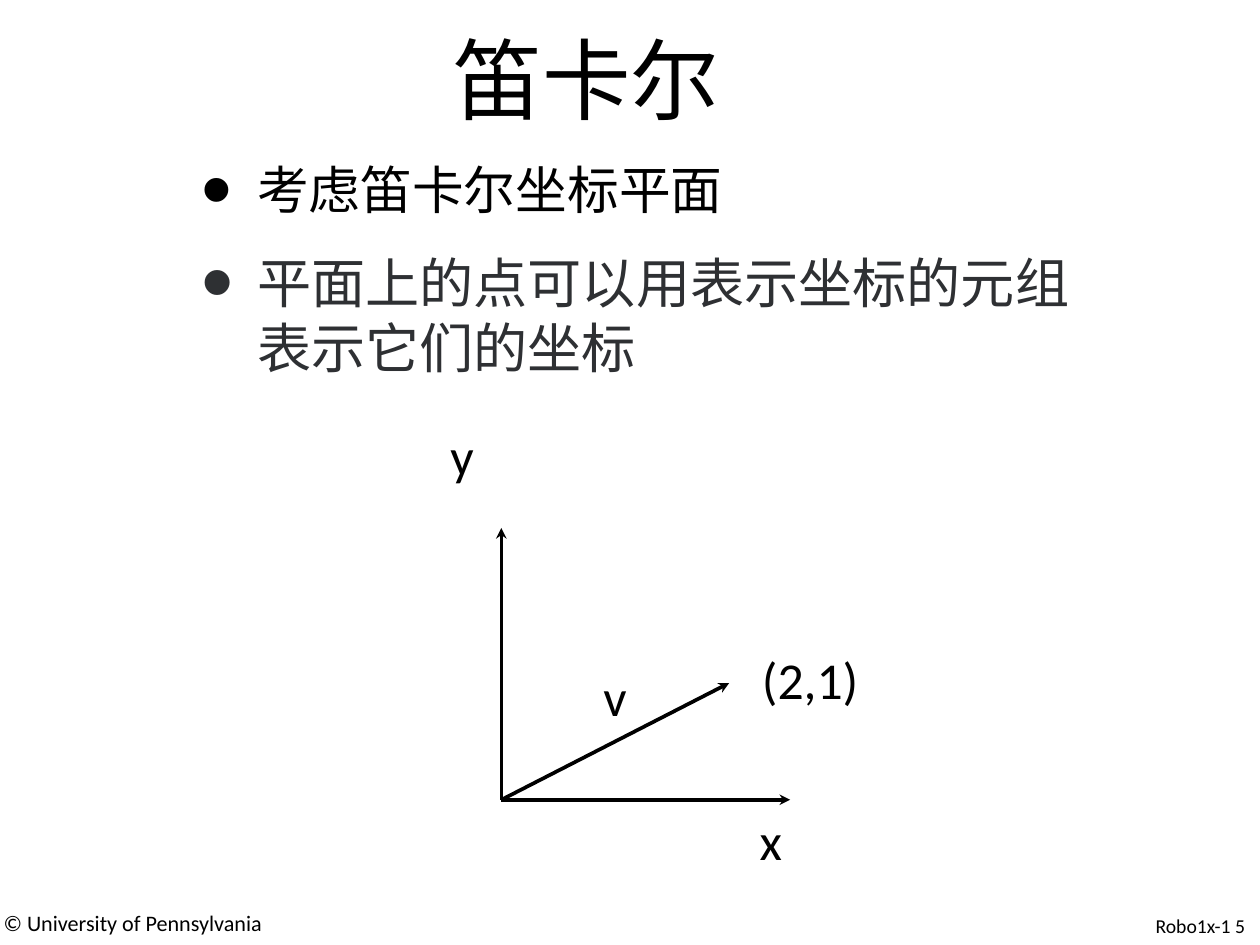
from math import hypot

from lxml import etree
from pptx import Presentation
from pptx.dml.color import RGBColor
from pptx.enum.shapes import MSO_CONNECTOR
from pptx.oxml.ns import qn
from pptx.util import Pt

STRAIGHT = MSO_CONNECTOR.STRAIGHT

THEME = {
    "black": RGBColor.from_string("000000"),
    "gray": RGBColor.from_string("2E3033"),
    "font": "Calibri",
    "body_font": "Arial",
    "title": 72,
    "label": 42,
    "body": 44,
    "copyright": 18,
    "page": 16,
    "line": 3,
}

SLIDE_SIZE = (1024, 768)

# Boxes are left, top, width, height
TITLE = ("笛卡尔", (368.6, 20.2, 300, 87))
BULLETS_BOX = (163, 128.2, 733, 190)
BULLETS = [
    ("考虑笛卡尔坐标平面",
     {"size": THEME["label"]}),
    ("平面上的点可以用表示坐标的元组表示它们的坐标",
     {"size": THEME["body"], "font": THEME["body_font"],
      "color": THEME["gray"], "space_before": 24}),
]
LABEL_SIZE = (100, 53)
LABELS = [
    ("y", (366, 344.6)),
    ("v", (490.3, 540.7)),
    ("(2,1)", (619.2, 526.3)),
    ("x", (617.4, 657.4)),
]
ORIGIN = (407.5, 650)
ARROW_TIPS = [
    (ORIGIN[0], 429.1),
    (642.2, ORIGIN[1]),
    (592.6, 555.1),
]
# Distance behind the tip and offset to the side of the arrow
HEAD_OUTLINE = [(0, 0), (8.8, 4.4), (5.8, 0), (8.8, -4.4)]
HEAD_NOTCH = 5.8
FOOTERS = [
    ("© University of Pennsylvania", (2.9, 742.3, 240, 20),
     {"size": THEME["copyright"], "line_spacing": 18.1}),
    ("Robo1x-1 5", (939.2, 745.9, 80, 18),
     {"size": THEME["page"], "line_spacing": 16.1}),
]
BULLET_INDENT = 45
BULLET_SCALE = "170000"


def add_box(slide, box):
    """Add an empty wrapping text box without margins; return its text frame."""
    frame = slide.shapes.add_textbox(*map(Pt, box)).text_frame
    frame.word_wrap = True
    frame.margin_left = frame.margin_top = 0
    frame.margin_right = frame.margin_bottom = 0
    return frame


def add_bullet(paragraph):
    properties = paragraph._p.get_or_add_pPr()
    properties.set("marL", str(Pt(BULLET_INDENT + 1)))
    properties.set("indent", str(-Pt(BULLET_INDENT)))
    etree.SubElement(properties, qn("a:buSzPct")).set("val", BULLET_SCALE)
    bullet_font = etree.SubElement(properties, qn("a:buFont"))
    bullet_font.set("typeface", THEME["body_font"])
    etree.SubElement(properties, qn("a:buChar")).set("char", "•")


def write(paragraph, text, *, size, font=THEME["font"], color=THEME["black"],
          space_before=None, line_spacing=None):
    if space_before:
        paragraph.space_before = Pt(space_before)
    if line_spacing:
        paragraph.line_spacing = Pt(line_spacing)
    run = paragraph.add_run()
    run.text = text
    run.font.size = Pt(size)
    run.font.name = font
    run.font.color.rgb = color


def add_arrow(slide, start, tip):
    """Draw a shaft up to the notch of a swept-back head."""
    run, rise = tip[0] - start[0], tip[1] - start[1]
    length = hypot(run, rise)
    along_x, along_y = run / length, rise / length

    def behind_tip(back, side):
        return (Pt(tip[0] - back * along_x - side * along_y),
                Pt(tip[1] - back * along_y + side * along_x))

    shaft = slide.shapes.add_connector(
        STRAIGHT, *map(Pt, start), *behind_tip(HEAD_NOTCH, 0))
    shaft.line.color.rgb = THEME["black"]
    shaft.line.width = Pt(THEME["line"])
    etree.SubElement(shaft._element.spPr, qn("a:effectLst"))

    first, *others = [behind_tip(*point) for point in HEAD_OUTLINE]
    builder = slide.shapes.build_freeform(*first)
    builder.add_line_segments(others, close=True)
    head = builder.convert_to_shape()
    head.shadow.inherit = False
    head.fill.solid()
    head.fill.fore_color.rgb = THEME["black"]
    head.line.fill.background()


def main():
    presentation = Presentation()
    presentation.slide_width, presentation.slide_height = map(Pt, SLIDE_SIZE)
    slide = presentation.slides.add_slide(presentation.slide_layouts[6])

    title, title_box = TITLE
    write(add_box(slide, title_box).paragraphs[0], title, size=THEME["title"])

    frame = add_box(slide, BULLETS_BOX)
    for index, (text, style) in enumerate(BULLETS):
        paragraph = frame.add_paragraph() if index else frame.paragraphs[0]
        add_bullet(paragraph)
        write(paragraph, text, **style)

    for tip in ARROW_TIPS:
        add_arrow(slide, ORIGIN, tip)
    for text, corner in LABELS:
        frame = add_box(slide, corner + LABEL_SIZE)
        write(frame.paragraphs[0], text, size=THEME["label"])

    for text, box, style in FOOTERS:
        write(add_box(slide, box).paragraphs[0], text, **style)

    presentation.save("out.pptx")


if __name__ == "__main__":
    main()
